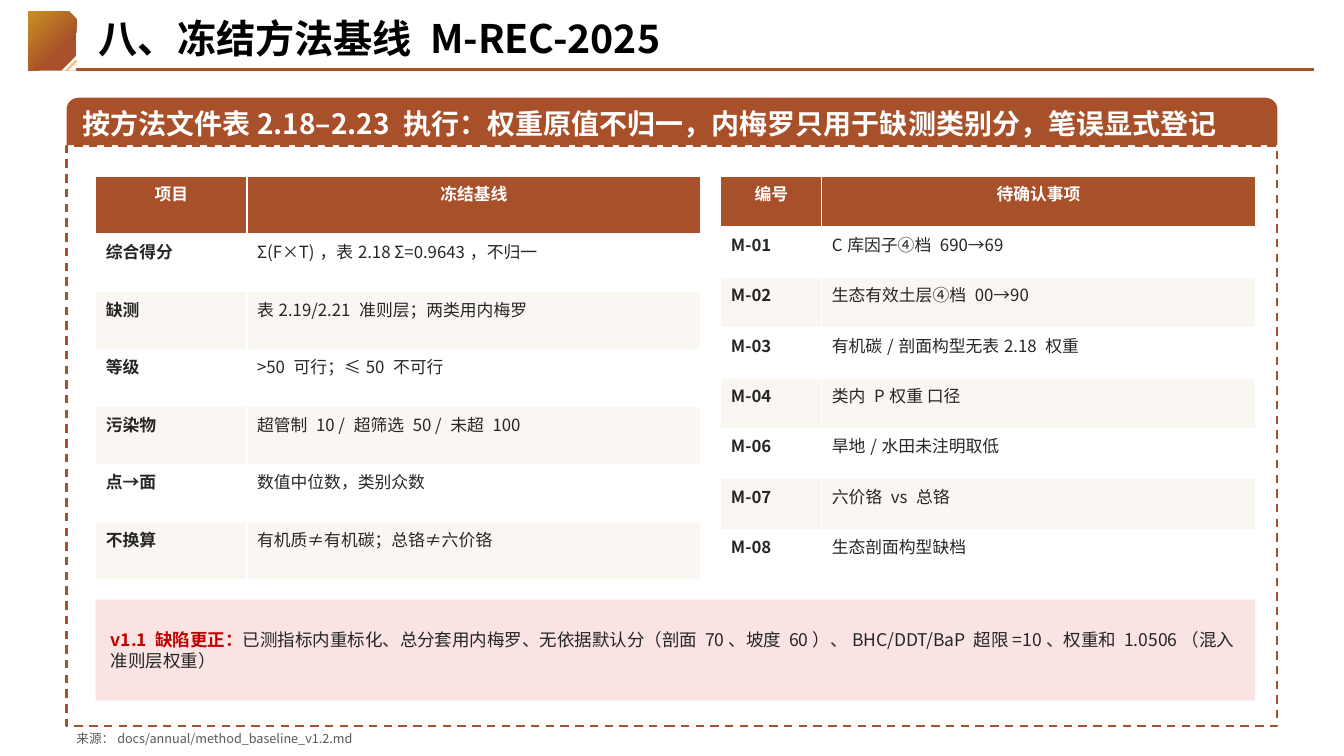
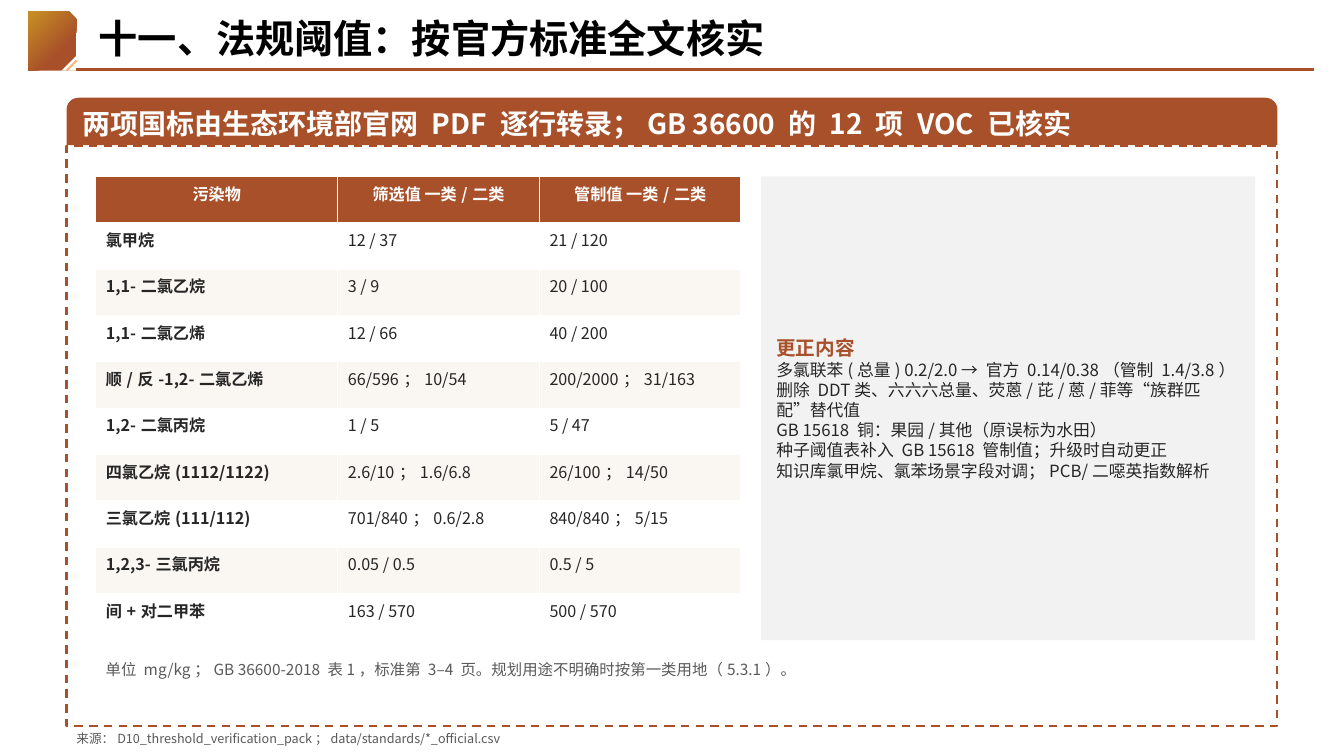
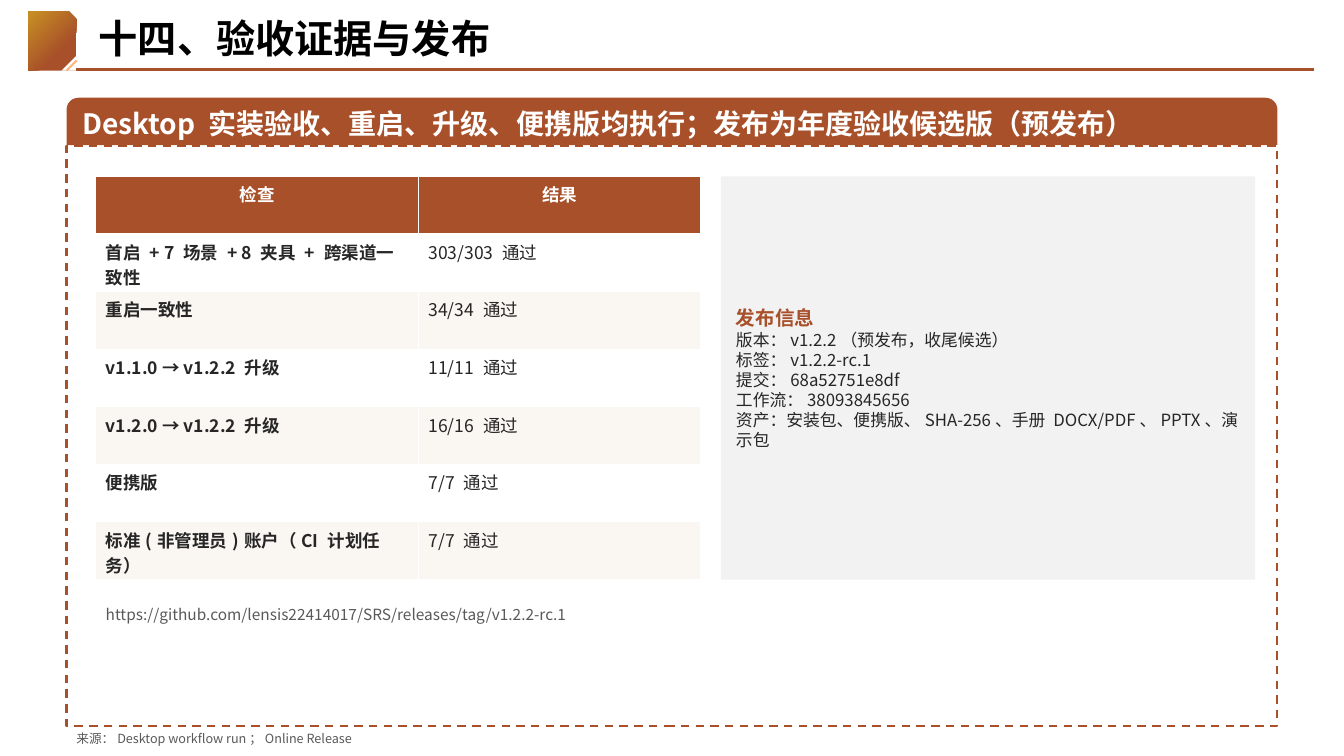
from dataclasses import dataclass

from lxml.etree import SubElement
from pptx import Presentation
from pptx.dml.color import RGBColor
from pptx.enum.dml import MSO_LINE as Dash
from pptx.enum.shapes import MSO_CONNECTOR as Wire, MSO_SHAPE as Kind
from pptx.enum.text import MSO_ANCHOR as Anchor, MSO_AUTO_SIZE as Fit, PP_ALIGN as Align
from pptx.oxml.ns import qn
from pptx.util import Inches, Pt


@dataclass(frozen=True)
class Theme:
    font: str = "Noto Sans CJK SC"
    rust: str = "A8502A"
    gold: str = "C58C23"
    peach: str = "FFB57D"
    white: str = "FFFFFF"
    cream: str = "FAF6F1"
    grey: str = "F2F2F2"
    pink: str = "F9E3E3"
    black: str = "000000"
    ink: str = "262626"
    mute: str = "595959"
    red: str = "C00000"
    title: float = 28
    band: float = 20
    head: float = 14
    alert: float = 12.5
    text: float = 12
    note: float = 11
    foot: float = 9
    rule: float = 1.5


@dataclass(frozen=True)
class Box:
    x: float
    y: float
    w: float
    h: float

    def rows(self, top, gap, low):
        """Two stacked boxes of the given heights."""
        return (Box(self.x, self.y, self.w, top),
                Box(self.x, self.y + top + gap, self.w, low))

    def cols(self, left, gap=0.2):
        """A left box of the given width and the rest of the row."""
        return (Box(self.x, self.y, left, self.h),
                Box(self.x + left + gap, self.y, self.w - left - gap, self.h))

    def emu(self):
        return [Inches(v) for v in (self.x, self.y, self.w, self.h)]


T = Theme()
PAGE = Box(0, 0, 13.33, 7.5)
MARK = Box(0.28, 0.11, 0.48, 0.59)
TITLE = Box(0.88, 0.09, 12.05, 0.6)
BAND = Box(0.66, 0.97, 12.01, 0.47)
FRAME = Box(0.66, 1.45, 12.01, 5.75)
FOOT = Box(0.66, 7.2, 12, 0.28)
BODY = Box(0.95, 1.75, 11.5, 5.2)


def rgb(code):
    return RGBColor.from_string(code)


def style(run, size, color, bold=False):
    font = run.font
    font.size, font.bold, font.name = Pt(size), bold, T.font
    font.color.rgb = rgb(color)
    SubElement(run.font._element, qn("a:ea"), typeface=T.font)


def write(frame, paras, align=Align.LEFT):
    """Each paragraph is a list of (text, size, colour, bold) runs."""
    for i, runs in enumerate(paras):
        para = frame.paragraphs[0] if i == 0 else frame.add_paragraph()
        para.alignment = align
        for text, *look in runs:
            run = para.add_run()
            run.text = text
            style(run, *look)


def shape(slide, kind, box, fill=None):
    item = slide.shapes.add_shape(kind, *box.emu())
    item.shadow.inherit = False
    item.line.fill.background()
    if fill:
        item.fill.solid()
        item.fill.fore_color.rgb = rgb(fill)
    else:
        item.fill.background()
    return item


def line(slide, start, end, color):
    ends = [Inches(v) for v in (*start, *end)]
    item = slide.shapes.add_connector(Wire.STRAIGHT, *ends)
    item.line.color.rgb = rgb(color)
    item.line.width = Pt(T.rule)
    SubElement(item._element.spPr, qn("a:effectLst"))
    return item


def label(slide, box, text, size):
    frame = slide.shapes.add_textbox(*box.emu()).text_frame
    frame.word_wrap = True
    write(frame, [[(text, size, T.mute)]])


def panel(slide, box, paras, fill, pad=0.15, kind=Kind.RECTANGLE):
    """Filled shape with middle-anchored text."""
    item = shape(slide, kind, box, fill)
    frame = item.text_frame
    frame.word_wrap = True
    frame.vertical_anchor = Anchor.MIDDLE
    frame.margin_left = frame.margin_right = Inches(pad)
    frame.margin_top = frame.margin_bottom = Inches(pad)
    write(frame, paras)
    return item


def facts(slide, box, head, lines):
    paras = [[(head, T.head, T.rust, True)]]
    paras += [[(text, T.text, T.ink)] for text in lines]
    panel(slide, box, paras, T.grey)


def edge(cell):
    props = cell._tc.get_or_add_tcPr()
    for side in ("lnL", "lnR", "lnT", "lnB"):
        rule = SubElement(props, qn(f"a:{side}"), w=str(Pt(1)))
        SubElement(SubElement(rule, qn("a:solidFill")), qn("a:srgbClr"), val=T.white)


def table(slide, box, widths, rows, size=T.text):
    grid = slide.shapes.add_table(len(rows), len(widths), *box.emu()).table
    for col, width in zip(grid.columns, widths):
        col.width = Inches(width)
    for r, texts in enumerate(rows):
        grid.rows[r].height = Inches(box.h / len(rows))
        head = r == 0
        fill = T.rust if head else T.white if r % 2 else T.cream
        for c, text in enumerate(texts):
            cell = grid.cell(r, c)
            edge(cell)
            cell.fill.solid()
            cell.fill.fore_color.rgb = rgb(fill)
            look = (text, size, T.white if head else T.ink, head or c == 0)
            write(cell.text_frame, [[look]], Align.CENTER if head else Align.LEFT)


def brand(slide, layout):
    """Draws the corner mark and title rule, then moves them to the layout."""
    mark = shape(slide, Kind.SNIP_1_RECTANGLE, MARK, T.rust)
    mark.fill.gradient()
    mark.fill.gradient_angle = 135
    stops = ((0.33, T.rust), (0.94, T.gold))
    for stop, (place, color) in zip(mark.fill.gradient_stops, stops):
        stop.position, stop.color.rgb = place, rgb(color)
    right, low, cut = MARK.x + MARK.w, MARK.y + MARK.h, 0.15
    notch = shape(slide, Kind.RIGHT_TRIANGLE, Box(right - cut, low - cut, cut, cut), T.white)
    notch.rotation = 270
    slash = line(slide, (right - 0.1, low), (right, low - 0.1), T.peach)
    rule = line(slide, (0.75, 0.69), (13.03, 0.69), T.rust)
    for part in (mark, notch, slash, rule):
        layout.shapes.element.append(part._element)


def place(item, box):
    item.left, item.top, item.width, item.height = box.emu()


def page(deck, title, lead, source):
    """Adds a slide with its title, band, dashed frame and source line."""
    layout = deck.slide_layouts[5]
    slide = deck.slides.add_slide(layout)
    if len(deck.slides) == 1:
        place(layout.placeholders[0], TITLE)
        brand(slide, layout)
    border = shape(slide, Kind.RECTANGLE, FRAME)
    border.line.color.rgb = rgb(T.rust)
    border.line.width = Pt(T.rule)
    border.line.dash_style = Dash.DASH
    place(slide.shapes.title, TITLE)
    frame = slide.shapes.title.text_frame
    frame.auto_size = Fit.NONE
    frame.vertical_anchor = Anchor.TOP
    write(frame, [[(title, T.title, T.black, True)]])
    band = panel(slide, BAND, [[(lead, T.band, T.white, True)]], T.rust, 0.12,
                 Kind.ROUND_2_SAME_RECTANGLE)
    band.adjustments[0], band.adjustments[1] = 0.25, 0
    label(slide, FOOT, "来源：" + source, T.foot)
    return slide


def method(deck):
    slide = page(deck, "八、冻结方法基线 M-REC-2025",
                 "按方法文件表2.18–2.23 执行：权重原值不归一，内梅罗只用于缺测类别分，笔误显式登记",
                 "docs/annual/method_baseline_v1.2.md")
    top, low = BODY.rows(4, 0.2, 1)
    left, right = top.cols(6)
    table(slide, left, (1.5, 4.5), [
        ("项目", "冻结基线"),
        ("综合得分", "Σ(F×T)，表2.18 Σ=0.9643，不归一"),
        ("缺测", "表2.19/2.21 准则层；两类用内梅罗"),
        ("等级", ">50 可行；≤50 不可行"),
        ("污染物", "超管制 10 / 超筛选 50 / 未超 100"),
        ("点→面", "数值中位数，类别众数"),
        ("不换算", "有机质≠有机碳；总铬≠六价铬"),
    ])
    table(slide, right, (1, 4.3), [
        ("编号", "待确认事项"),
        ("M-01", "C库因子④档 690→69"),
        ("M-02", "生态有效土层④档 00→90"),
        ("M-03", "有机碳/剖面构型无表2.18 权重"),
        ("M-04", "类内 P权重 口径"),
        ("M-06", "旱地/水田未注明取低"),
        ("M-07", "六价铬 vs 总铬"),
        ("M-08", "生态剖面构型缺档"),
    ])
    panel(slide, low, [[
        ("v1.1 缺陷更正：", T.alert, T.red, True),
        ("已测指标内重标化、总分套用内梅罗、无依据默认分（剖面 70、坡度 60）、"
         "BHC/DDT/BaP 超限=10、权重和 1.0506（混入准则层权重）", T.alert, T.ink),
    ]], T.pink)


def limits(deck):
    slide = page(deck, "十一、法规阈值：按官方标准全文核实",
                 "两项国标由生态环境部官网 PDF 逐行转录；GB 36600 的 12 项 VOC 已核实",
                 "D10_threshold_verification_pack；data/standards/*_official.csv")
    top, low = BODY.rows(4.6, 0.15, 0.5)
    left, right = top.cols(6.4)
    table(slide, left, (2.4, 2, 2), [
        ("污染物", "筛选值 一类/二类", "管制值 一类/二类"),
        ("氯甲烷", "12 / 37", "21 / 120"),
        ("1,1-二氯乙烷", "3 / 9", "20 / 100"),
        ("1,1-二氯乙烯", "12 / 66", "40 / 200"),
        ("顺/反-1,2-二氯乙烯", "66/596；10/54", "200/2000；31/163"),
        ("1,2-二氯丙烷", "1 / 5", "5 / 47"),
        ("四氯乙烷(1112/1122)", "2.6/10；1.6/6.8", "26/100；14/50"),
        ("三氯乙烷(111/112)", "701/840；0.6/2.8", "840/840；5/15"),
        ("1,2,3-三氯丙烷", "0.05 / 0.5", "0.5 / 5"),
        ("间+对二甲苯", "163 / 570", "500 / 570"),
    ], 11.5)
    facts(slide, right, "更正内容", [
        "多氯联苯(总量) 0.2/2.0 → 官方 0.14/0.38（管制 1.4/3.8）",
        "删除 DDT类、六六六总量、荧蒽/芘/蒽/菲等“族群匹配”替代值",
        "GB 15618 铜：果园/其他（原误标为水田）",
        "种子阈值表补入 GB 15618 管制值；升级时自动更正",
        "知识库氯甲烷、氯苯场景字段对调；PCB/二噁英指数解析",
    ])
    label(slide, low, "单位 mg/kg；GB 36600-2018 表1，标准第 3–4 页。"
          "规划用途不明确时按第一类用地（5.3.1）。", T.note)


def release(deck):
    slide = page(deck, "十四、验收证据与发布",
                 "Desktop 实装验收、重启、升级、便携版均执行；发布为年度验收候选版（预发布）",
                 "Desktop workflow run；Online Release")
    top, low = BODY.rows(4, 0.2, 0.9)
    left, right = top.cols(6)
    table(slide, left, (3.2, 2.8), [
        ("检查", "结果"),
        ("首启 + 7 场景 + 8 夹具 + 跨渠道一致性", "303/303 通过"),
        ("重启一致性", "34/34 通过"),
        ("v1.1.0 → v1.2.2 升级", "11/11 通过"),
        ("v1.2.0 → v1.2.2 升级", "16/16 通过"),
        ("便携版", "7/7 通过"),
        ("标准(非管理员)账户（CI 计划任务）", "7/7 通过"),
    ], 12.5)
    facts(slide, right, "发布信息", [
        "版本：v1.2.2（预发布，收尾候选）",
        "标签：v1.2.2-rc.1",
        "提交：68a52751e8df",
        "工作流：38093845656",
        "资产：安装包、便携版、SHA-256、手册 DOCX/PDF、PPTX、演示包",
    ])
    label(slide, low, "https://github.com/lensis22414017/SRS/releases/tag/v1.2.2-rc.1", T.note)


def main():
    deck = Presentation()
    deck.slide_width, deck.slide_height = Inches(PAGE.w), Inches(PAGE.h)
    for build in (method, limits, release):
        build(deck)
    deck.save("out.pptx")


if __name__ == "__main__":
    main()
